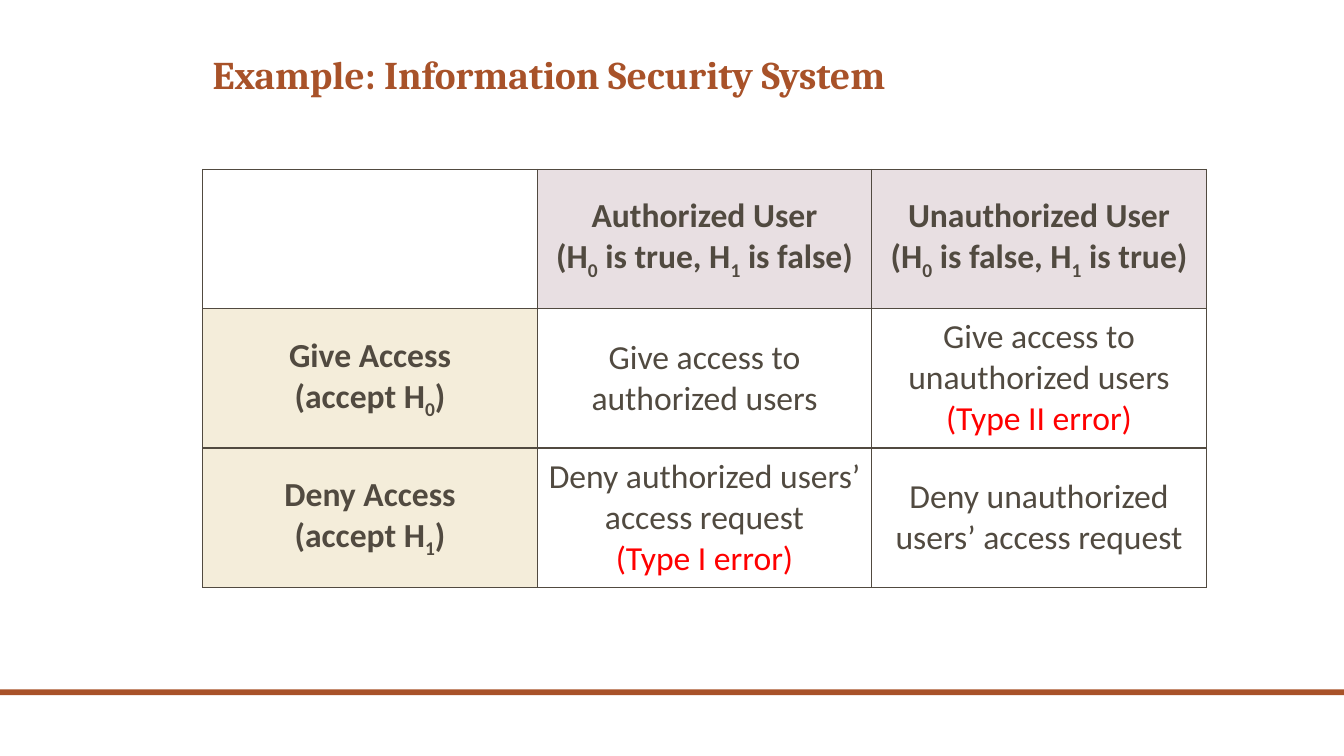
import lxml.etree
import pptx
import pptx.dml.color
import pptx.enum.shapes
import pptx.enum.text
import pptx.oxml.ns
import pptx.util

Cm = pptx.util.Cm
Pt = pptx.util.Pt
ALIGN = pptx.enum.text.PP_ALIGN
ANCHOR = pptx.enum.text.MSO_ANCHOR

# Content: "_" puts the next character in subscript
TITLE = "Example: Information Security System"
ROWS = [
    [[],
     ["Authorized User", "(H_0 is true, H_1 is false)"],
     ["Unauthorized User", "(H_0 is false, H_1 is true)"]],
    [["Give Access", "(accept H_0)"],
     ["Give access to authorized users"],
     ["Give access to unauthorized users", "(Type II error)"]],
    [["Deny Access", "(accept H_1)"],
     ["Deny authorized users’ access request", "(Type I error)"],
     ["Deny unauthorized users’ access request"]],
]
COLORS = {"brown": "A85229", "text": "514A40", "error": "FF0000",
          "column_head": "E8DFE2", "row_head": "F4EDDA"}

SLIDE_W, SLIDE_H = 33.87, 19.05
LEFT = 5.11
TABLE_TOP, COL_W, ROW_H = 4.27, 8.43, 3.51


def rgb(name):
    return pptx.dml.color.RGBColor.from_string(COLORS[name])


def add_text(p, text, font="Calibri", size=24, color="text", bold=False,
             align=ALIGN.CENTER, spacing=None):
    p.alignment = align
    if spacing:
        p.line_spacing = spacing
    first, *rest = text.split("_")
    pieces = [(first, False)]
    for part in rest:
        pieces += [(part[0], True), (part[1:], False)]
    for piece, subscript in pieces:
        r = p.add_run()
        r.text = piece
        r.font.name, r.font.size, r.font.bold = font, Pt(size), bold
        r.font.color.rgb = rgb(color)
        if subscript:
            r.font._element.set("baseline", "-25000")


def add_borders(cell, color, width):
    tcPr = cell._tc.get_or_add_tcPr()
    qn = pptx.oxml.ns.qn
    for i, side in enumerate(("lnL", "lnR", "lnT", "lnB")):
        ln = lxml.etree.Element(qn("a:" + side), w=str(int(Pt(width))))
        fill = lxml.etree.SubElement(ln, qn("a:solidFill"))
        lxml.etree.SubElement(fill, qn("a:srgbClr"), val=COLORS[color])
        tcPr.insert(i, ln)


prs = pptx.Presentation()
prs.slide_width, prs.slide_height = Cm(SLIDE_W), Cm(SLIDE_H)
s = prs.slides.add_slide(prs.slide_layouts[6])

# Footer bar
bar = s.shapes.add_shape(pptx.enum.shapes.MSO_SHAPE.RECTANGLE,
                         0, Cm(17.37), Cm(SLIDE_W), Cm(0.15))
bar.shadow.inherit = False
bar.fill.solid()
bar.fill.fore_color.rgb = rgb("brown")
bar.line.fill.background()

# Decision table
n_rows, n_cols = len(ROWS), len(ROWS[0])
table = s.shapes.add_table(n_rows, n_cols, Cm(LEFT), Cm(TABLE_TOP),
                           Cm(n_cols * COL_W), Cm(n_rows * ROW_H)).table
table.first_row = table.horz_banding = False
for col in table.columns:
    col.width = Cm(COL_W)
for row in table.rows:
    row.height = Cm(ROW_H)

for i, row in enumerate(ROWS):
    for j, lines in enumerate(row):
        cell = table.cell(i, j)
        cell.vertical_anchor = ANCHOR.MIDDLE
        is_head = i == 0 or j == 0
        if is_head and lines:
            cell.fill.solid()
            cell.fill.fore_color.rgb = rgb("column_head" if i == 0 else "row_head")
        else:
            cell.fill.background()
        add_borders(cell, "text", 1)
        tf = cell.text_frame
        for k, line in enumerate(lines):
            p = tf.add_paragraph() if k else tf.paragraphs[0]
            add_text(p, line, bold=is_head,
                     color="error" if line.startswith("(Type") else "text")

# Title
sp = s.shapes.add_textbox(Cm(LEFT), Cm(1.27), Cm(26.67), Cm(3.18))
tf = sp.text_frame
tf.word_wrap = True
tf.vertical_anchor = ANCHOR.TOP
add_text(tf.paragraphs[0], TITLE, font="Cambria", size=28, color="brown",
         bold=True, align=ALIGN.LEFT, spacing=0.9)

prs.save("out.pptx")
